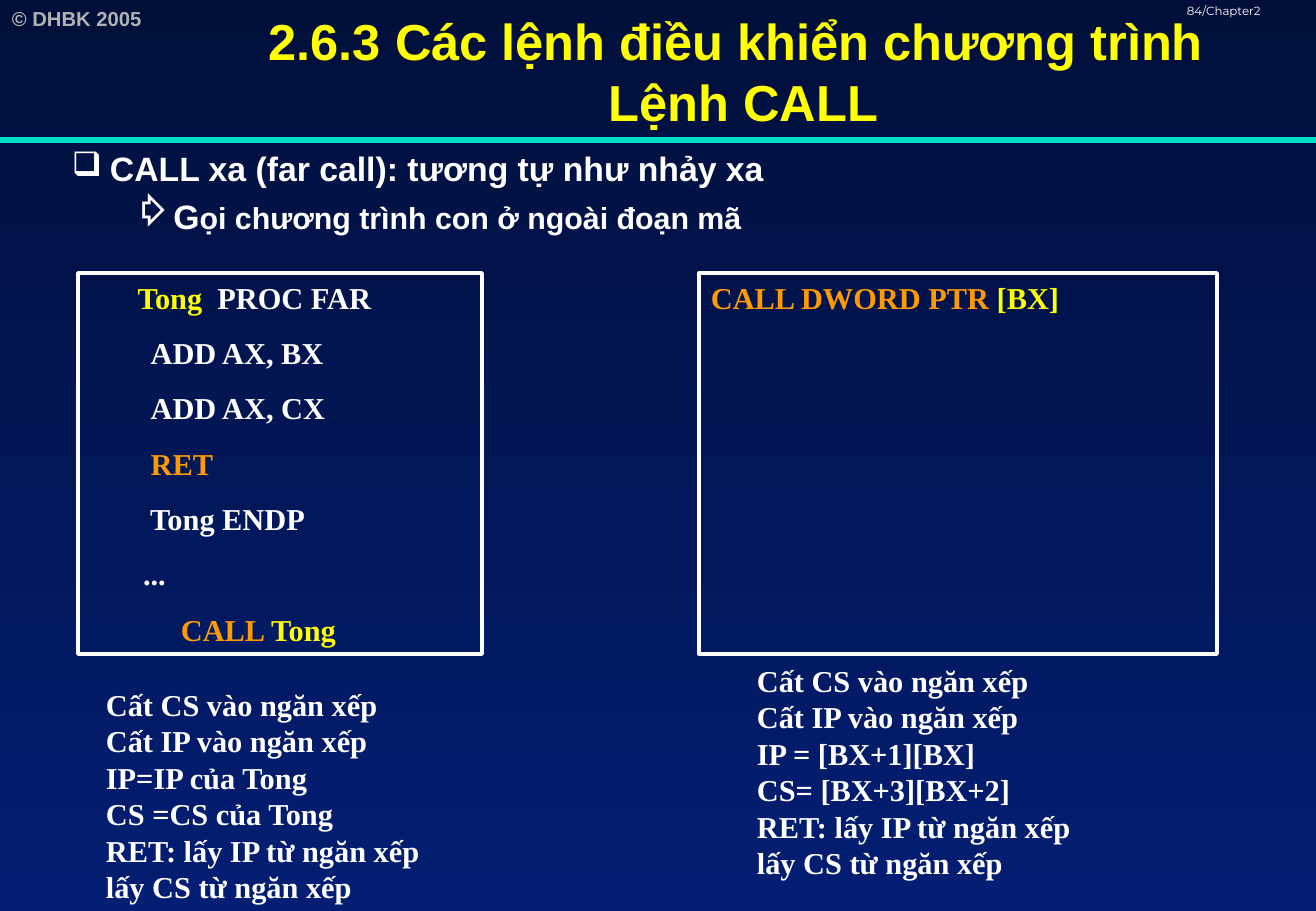
from dataclasses import dataclass

from lxml import etree
from pptx import Presentation
from pptx.dml.color import RGBColor
from pptx.enum.dml import MSO_THEME_COLOR
from pptx.enum.shapes import MSO_CONNECTOR, MSO_SHAPE
from pptx.enum.text import MSO_ANCHOR, PP_ALIGN
from pptx.oxml.ns import qn
from pptx.util import Emu, Pt

LEFT, CENTER = PP_ALIGN.LEFT, PP_ALIGN.CENTER
TOP, MIDDLE = MSO_ANCHOR.TOP, MSO_ANCHOR.MIDDLE
RECTANGLE = MSO_SHAPE.RECTANGLE
STRAIGHT = MSO_CONNECTOR.STRAIGHT
PX = 7532
SLIDE_WIDTH, SLIDE_HEIGHT = 1316, 911


@dataclass(frozen=True)
class Theme:
    night: str = "010F3B"
    navy: str = "031E73"
    white: str = "FFFFFF"
    gray: str = "B2B2B2"
    yellow: str = "FFFF00"
    orange: str = "FF9B00"
    teal: str = "00DFCA"
    sans: str = "Arial"
    serif: str = "Times New Roman"
    small: str = "Montserrat"
    title_size: int = 30
    topic_size: int = 20
    text_size: int = 18
    credit_size: int = 12
    page_size: int = 7


THEME = Theme()


def px(length):
    return Emu(length * PX)


def rgb(color):
    return RGBColor.from_string(color)


def add_bullet(paragraph, mark, level, margin, hanging):
    paragraph.level = level
    properties = paragraph._p.get_or_add_pPr()
    properties.set("marL", str(px(margin)))
    properties.set("indent", str(px(-hanging)))
    bullet_color = etree.SubElement(properties, qn("a:buClr"))
    etree.SubElement(bullet_color, qn("a:srgbClr"), val=THEME.white)
    etree.SubElement(properties, qn("a:buChar"), char=mark)


def write_paragraph(paragraph, content, font=THEME.serif, size=THEME.text_size,
                    color=THEME.white, bold=True, align=LEFT, before=0,
                    pitch=1.2, bullet=None):
    if bullet:
        add_bullet(paragraph, *bullet)
    paragraph.alignment = align
    paragraph.line_spacing = Pt(round(size * pitch, 2))
    paragraph.space_before = Pt(before)
    runs = [(content, {})] if isinstance(content, str) else content
    for words, changes in runs:
        for index, line in enumerate(words.split("\n")):
            if index:
                paragraph.add_line_break()
            run = paragraph.add_run()
            run.text = line
            run.font.name = changes.get("font", font)
            run.font.size = Pt(changes.get("size", size))
            run.font.bold = changes.get("bold", bold)
            run.font.color.rgb = rgb(changes.get("color", color))


def write_text(frame, paragraphs, anchor=TOP, wrap=True, before=0, **style):
    frame.word_wrap = wrap
    frame.vertical_anchor = anchor
    for index, content in enumerate(paragraphs):
        paragraph = frame.paragraphs[0] if index == 0 else frame.add_paragraph()
        write_paragraph(paragraph, content, before=before if index else 0, **style)


def add_label(slide, box, paragraphs, **style):
    label = slide.shapes.add_textbox(*map(px, box))
    write_text(label.text_frame, paragraphs, **style)
    return label.text_frame


def add_code_box(slide, box, lines):
    frame = slide.shapes.add_shape(RECTANGLE, *map(px, box))
    frame.shadow.inherit = False
    frame.fill.background()
    frame.line.color.rgb = rgb(THEME.white)
    frame.line.width = Pt(2.25)
    write_text(frame.text_frame, lines, before=11.2)


def add_rule(slide, y):
    rule = slide.shapes.add_connector(STRAIGHT, 0, px(y), px(SLIDE_WIDTH), px(y))
    rule.line.color.rgb = rgb(THEME.teal)
    rule.line.width = Pt(3)
    etree.SubElement(rule._element.spPr, qn("a:effectLst"))


def paint_background(slide):
    fill = slide.background.fill
    fill.gradient()
    fill.gradient_angle = 270
    for stop, color in zip(fill.gradient_stops, (THEME.night, THEME.navy)):
        stop.color.theme_color = MSO_THEME_COLOR.ACCENT_1
        stop.color.rgb = rgb(color)


def add_header(slide):
    add_label(slide, (0, 0, 191, 36), ["© DHBK 2005"], font=THEME.sans,
              size=THEME.credit_size, color=THEME.gray)
    add_rule(slide, 140)
    add_label(slide, (1175, 0, 192, 30), ["84/Chapter2"], font=THEME.small,
              size=THEME.page_size, bold=False, pitch=1)
    add_label(slide, (171, 0, 1145, 142),
              ["2.6.3 Các lệnh điều khiển chương trình \nLệnh CALL"],
              font=THEME.sans, size=THEME.title_size, color=THEME.yellow,
              align=CENTER, anchor=MIDDLE)


def add_topic(slide):
    topic = add_label(slide, (0, 142, 1315, 769),
                      ["CALL xa (far call): tương tự như nhảy xa"],
                      font=THEME.sans, size=THEME.topic_size,
                      bullet=("❑", 0, 98, 38))
    write_paragraph(topic.add_paragraph(),
                    [("G", {}),
                     ("ọi chương trình con ở ngoài đoạn mã", {"size": THEME.text_size})],
                    font=THEME.sans, size=THEME.topic_size, before=4.5,
                    bullet=("⇨", 1, 152, 30))


def main():
    deck = Presentation()
    deck.slide_width, deck.slide_height = px(SLIDE_WIDTH), px(SLIDE_HEIGHT)
    slide = deck.slides.add_slide(deck.slide_layouts[6])
    paint_background(slide)
    add_header(slide)
    add_topic(slide)

    yellow, orange = {"color": THEME.yellow}, {"color": THEME.orange}
    add_code_box(slide, (78, 273, 404, 381), [
        [("      ", {"font": THEME.small, "bold": False}), ("Tong", yellow),
         ("  PROC FAR", {})],
        "\tADD AX, BX",
        "\tADD AX, CX",
        [("\tRET", orange)],
        "        Tong ENDP",
        "       ...",
        [("            CALL ", orange), ("Tong", yellow)],
    ])
    add_code_box(slide, (699, 273, 518, 381),
                 [[("CALL DWORD PTR ", orange), ("[BX]", yellow)]])

    push_steps = ["Cất CS vào ngăn xếp", "Cất IP vào ngăn xếp"]
    return_steps = ["RET: lấy IP từ ngăn xếp", "lấy CS từ ngăn xếp"]
    direct_jump = ["IP=IP của Tong", "CS =CS của Tong"]
    indirect_jump = ["IP = [BX+1][BX]", "CS= [BX+3][BX+2]"]
    for left, top, jump in ((94, 680, direct_jump), (745, 656, indirect_jump)):
        add_label(slide, (left, top, 341, 231),
                  push_steps + jump + return_steps, wrap=False)

    deck.save("out.pptx")


if __name__ == "__main__":
    main()
